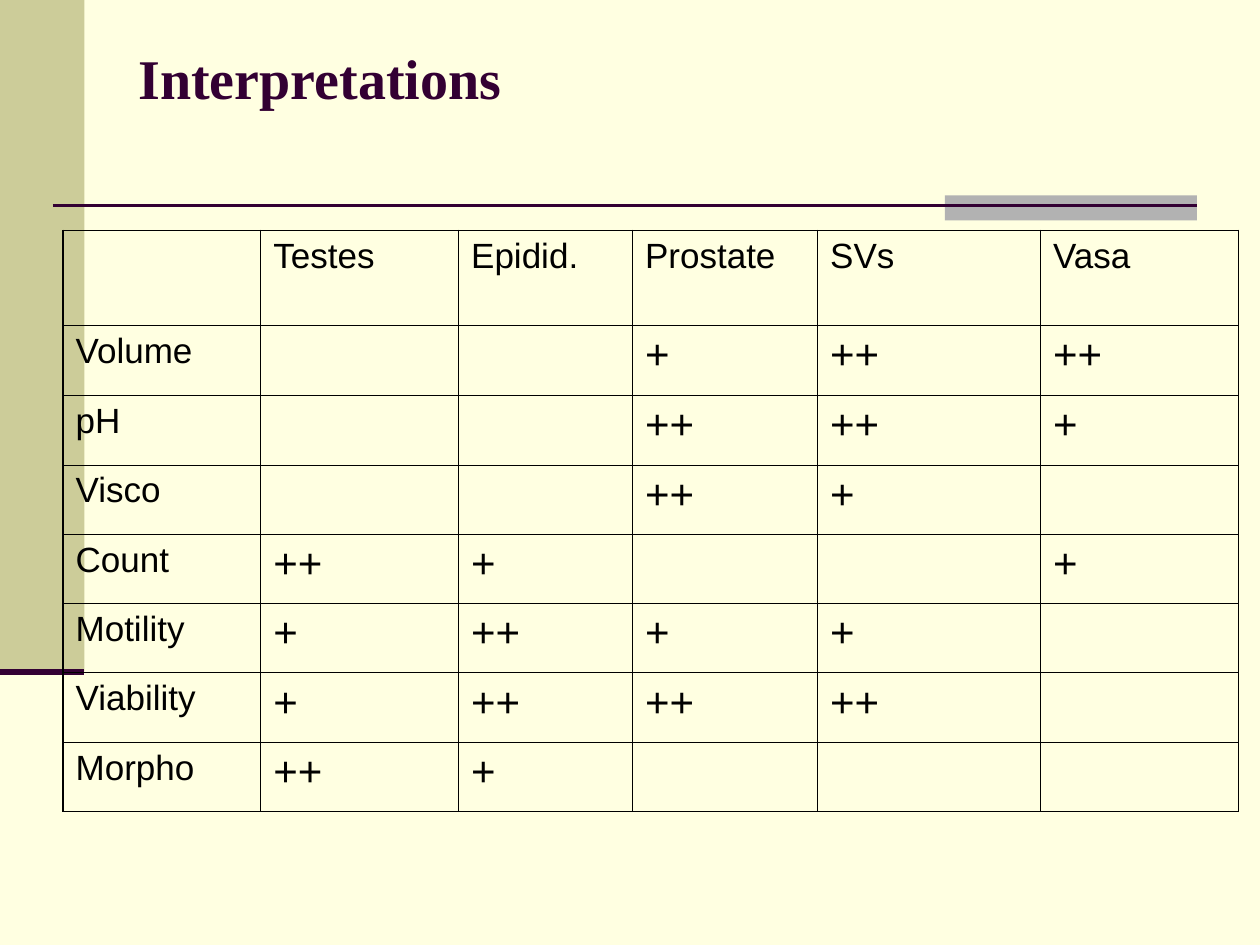
from dataclasses import dataclass

from lxml import etree
from pptx import Presentation
from pptx.dml.color import RGBColor
from pptx.enum.shapes import MSO_CONNECTOR, MSO_SHAPE
from pptx.enum.text import MSO_ANCHOR
from pptx.oxml.ns import qn
from pptx.util import Inches, Pt

RECTANGLE = MSO_SHAPE.RECTANGLE
STRAIGHT = MSO_CONNECTOR.STRAIGHT
MIDDLE = MSO_ANCHOR.MIDDLE

TITLE = "Interpretations"
GRADES = [
    ["", "Testes", "Epidid.", "Prostate", "SVs", "Vasa"],
    ["Volume", "", "", "+", "++", "++"],
    ["pH", "", "", "++", "++", "+"],
    ["Visco", "", "", "++", "+", ""],
    ["Count", "++", "+", "", "", "+"],
    ["Motility", "+", "++", "+", "+", ""],
    ["Viability", "+", "++", "++", "++", ""],
    ["Morpho", "++", "+", "", "", ""],
]
COLUMN_WIDTHS = [1.57, 1.57, 1.38, 1.47, 1.77, 1.57]
ROW_HEIGHTS = [0.75, 0.56] + [0.55] * 6
TABLE_LEFT, TABLE_TOP = 0.5, 1.83


@dataclass(frozen=True)
class Theme:
    background: str = "FFFFE1"
    band: str = "CCCC99"
    accent: str = "B2B2B2"
    plum: str = "330033"
    ink: str = "000000"
    title_font: str = "Times New Roman"
    body_font: str = "Arial"
    title_size: float = 32
    label_size: float = 20
    grade_size: float = 24
    outer_border: float = 1.08
    inner_border: float = 0.45


THEME = Theme()


def add_block(slide, left, top, width, height, color):
    block = slide.shapes.add_shape(
        RECTANGLE, Inches(left), Inches(top), Inches(width), Inches(height))
    block.shadow.inherit = False
    block.fill.solid()
    block.fill.fore_color.rgb = RGBColor.from_string(color)
    block.line.fill.background()


def add_rule(slide, left, right, y, weight):
    rule = slide.shapes.add_connector(
        STRAIGHT, Inches(left), Inches(y), Inches(right), Inches(y))
    rule.line.color.rgb = RGBColor.from_string(THEME.plum)
    rule.line.width = Pt(weight)
    etree.SubElement(rule._element.spPr, qn("a:effectLst"))


def add_run(paragraph, text, font_name, size, color, bold=False):
    run = paragraph.add_run()
    run.text = text
    run.font.name = font_name
    run.font.size = Pt(size)
    run.font.bold = bold
    run.font.color.rgb = RGBColor.from_string(color)


def add_title(slide):
    title = slide.shapes.add_textbox(
        Inches(1), Inches(0.3), Inches(8.5), Inches(0.62))
    frame = title.text_frame
    frame.word_wrap = True
    frame.vertical_anchor = MIDDLE
    add_run(frame.paragraphs[0], TITLE, THEME.title_font,
            THEME.title_size, THEME.plum, bold=True)


def set_borders(cell, outer_sides):
    """Draw all four borders, heavier on the table's outer sides."""
    properties = cell._tc.get_or_add_tcPr()
    # Border elements must come before the fill, in this order.
    for position, side in enumerate("LRTB"):
        weight = THEME.outer_border if side in outer_sides else THEME.inner_border
        border = etree.Element(qn(f"a:ln{side}"), w=str(int(Pt(weight))))
        fill = etree.SubElement(border, qn("a:solidFill"))
        etree.SubElement(fill, qn("a:srgbClr"), val=THEME.ink)
        properties.insert(position, border)


def add_grades(slide):
    row_count, column_count = len(GRADES), len(COLUMN_WIDTHS)
    table = slide.shapes.add_table(
        row_count, column_count, Inches(TABLE_LEFT), Inches(TABLE_TOP),
        Inches(sum(COLUMN_WIDTHS)), Inches(sum(ROW_HEIGHTS))).table
    table.first_row = table.horz_banding = False
    for column, width in zip(table.columns, COLUMN_WIDTHS):
        column.width = Inches(width)
    for row, height in zip(table.rows, ROW_HEIGHTS):
        row.height = Inches(height)

    for r, texts in enumerate(GRADES):
        for c, text in enumerate(texts):
            cell = table.cell(r, c)
            cell.fill.background()
            edges = {"L": c == 0, "R": c == column_count - 1,
                     "T": r == 0, "B": r == row_count - 1}
            set_borders(cell, [side for side, outer in edges.items() if outer])
            if text:
                is_label = r == 0 or c == 0
                size = THEME.label_size if is_label else THEME.grade_size
                add_run(cell.text_frame.paragraphs[0], text,
                        THEME.body_font, size, THEME.ink)


def main():
    deck = Presentation()
    deck.slide_width, deck.slide_height = Inches(10), Inches(7.5)
    slide = deck.slides.add_slide(deck.slide_layouts[6])
    slide.background.fill.solid()
    slide.background.fill.fore_color.rgb = RGBColor.from_string(THEME.background)

    add_block(slide, 0, 0, 0.67, 5.33, THEME.band)
    add_block(slide, 7.5, 1.55, 2, 0.2, THEME.accent)
    add_rule(slide, 0.42, 9.5, 1.63, 1.5)
    add_rule(slide, 0, 0.67, 5.33, 3.5)
    add_title(slide)
    add_grades(slide)
    deck.save("out.pptx")


if __name__ == "__main__":
    main()
